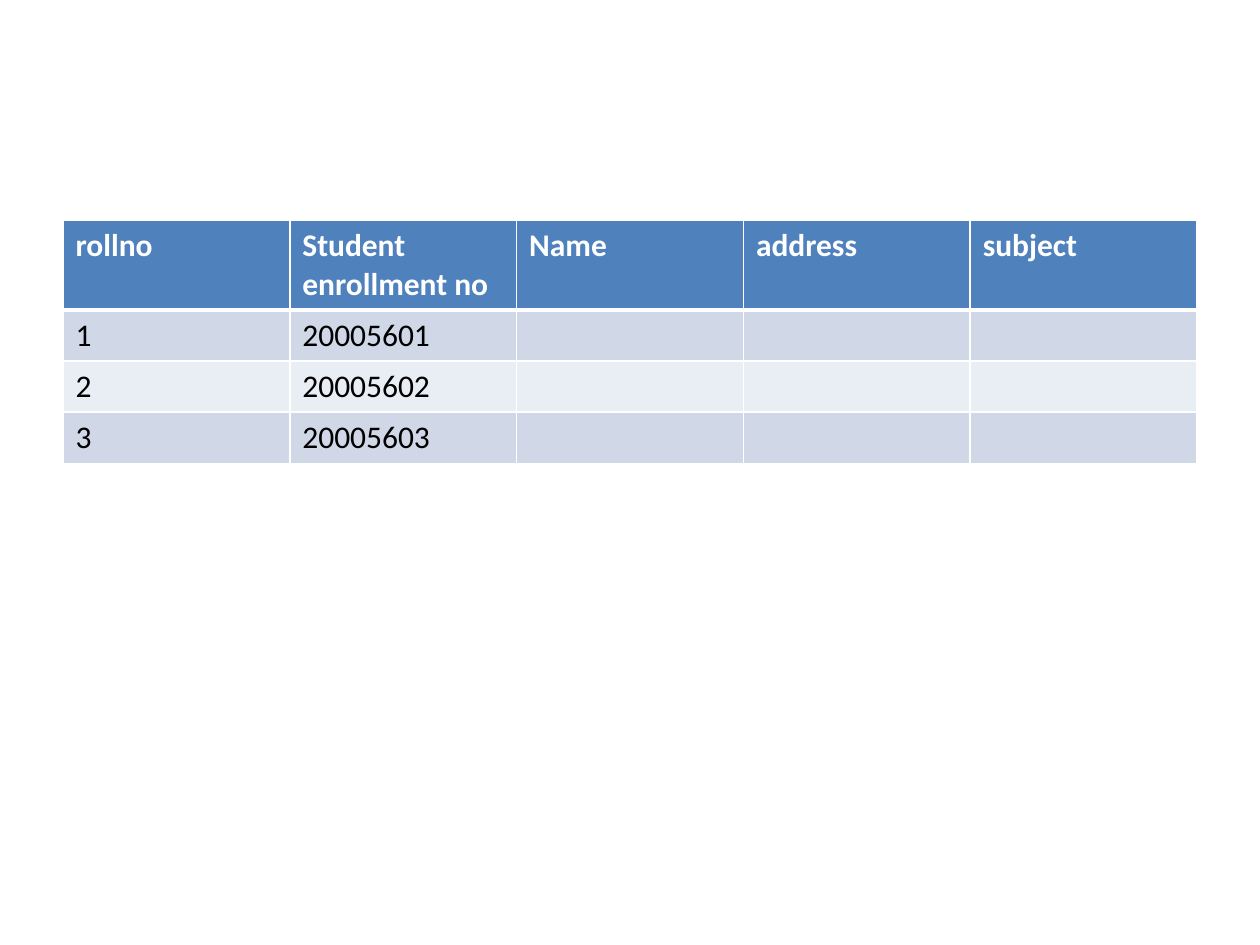
from lxml.etree import SubElement
from pptx import Presentation
from pptx.dml.color import RGBColor
from pptx.oxml.ns import qn
from pptx.util import Pt

HEADERS = ["rollno", "Student enrollment no", "Name", "address", "subject"]
STUDENTS = [(str(n), str(20005600 + n), "", "", "") for n in (1, 2, 3)]


def rgb(value):
    return RGBColor.from_string(value)


class SlideBuilder:
    font = "Calibri"
    size = 18
    border = "FFFFFF"
    header_format = {"fill": "4F81BD", "color": "FFFFFF", "bold": True}
    row_formats = [
        {"fill": "D0D8E8", "color": "000000", "bold": False},
        {"fill": "E9EDF4", "color": "000000", "bold": False},
    ]

    def __init__(self, slide):
        self.slide = slide

    def borders(self, cell, widths):
        """Draw cell borders; widths maps each side (L, R, T, B) to points."""
        tc_pr = cell._tc.get_or_add_tcPr()
        for side, width in widths.items():
            line = SubElement(tc_pr, qn(f"a:ln{side}"), w=str(Pt(width)))
            fill = SubElement(line, qn("a:solidFill"))
            SubElement(fill, qn("a:srgbClr"), val=self.border)

    def cell(self, cell, text, style):
        cell.fill.solid()
        cell.fill.fore_color.rgb = rgb(style["fill"])
        p = cell.text_frame.paragraphs[0]
        fonts = [p.font]
        if text:
            r = p.add_run()
            r.text = text
            fonts.append(r.font)
        values = {"name": self.font, "size": Pt(self.size), "bold": style["bold"]}
        for font in fonts:
            for name, value in values.items():
                setattr(font, name, value)
            font.color.rgb = rgb(style["color"])

    def table(self, rows, left, top, col_width, heights):
        n_cols = len(rows[0])
        table = self.slide.shapes.add_table(
            len(rows), n_cols, Pt(left), Pt(top),
            Pt(col_width * n_cols), Pt(sum(heights))).table
        for column in table.columns:
            column.width = Pt(col_width)
        for i, (texts, height) in enumerate(zip(rows, heights)):
            table.rows[i].height = Pt(height)
            style = self.row_formats[(i - 1) % 2] if i else self.header_format
            widths = {"L": 1, "R": 1, "T": 3 if i == 1 else 1, "B": 1 if i else 3}
            for j, text in enumerate(texts):
                self.borders(table.cell(i, j), widths)
                self.cell(table.cell(i, j), text, style)


def main():
    prs = Presentation()
    prs.slide_width, prs.slide_height = Pt(720), Pt(540)
    s = prs.slides.add_slide(prs.slide_layouts[6])
    builder = SlideBuilder(s)
    builder.table([HEADERS, *STUDENTS], left=36, top=126, col_width=129.6,
                  heights=[50.4] + [29.2] * len(STUDENTS))
    prs.save("out.pptx")


if __name__ == "__main__":
    main()
